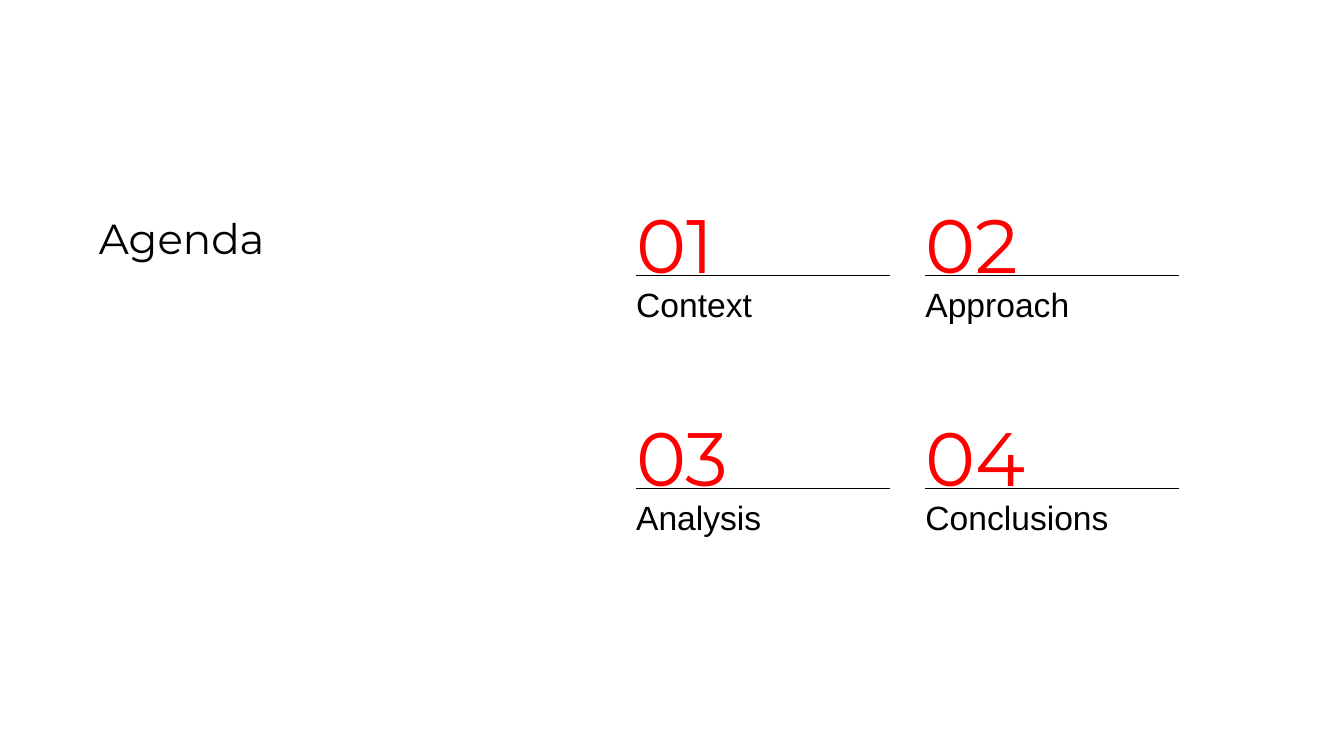
from lxml.etree import SubElement
from pptx import Presentation
from pptx.dml.color import RGBColor
from pptx.enum.shapes import MSO_CONNECTOR
from pptx.enum.text import MSO_ANCHOR, PP_ALIGN
from pptx.oxml.ns import qn
from pptx.util import Pt

COLORS = {"background": "FFFFFF", "text": "000000", "number": "FF0000"}
TOPICS = ["Context", "Approach", "Analysis", "Conclusions"]
COLUMNS = 2
COLUMN_PITCH, ROW_PITCH = 206.6, 152
ITEM_WIDTH = 181.4


def color(name):
    return RGBColor.from_string(COLORS[name])


def format_text(shape, text, font_name, size, color_name, line_spacing):
    frame = shape.text_frame
    frame.word_wrap = True
    frame.text = text
    paragraph = frame.paragraphs[0]
    paragraph.alignment = PP_ALIGN.LEFT
    paragraph.line_spacing = line_spacing
    paragraph.font.name = font_name
    paragraph.font.size = Pt(size)
    paragraph.font.color.rgb = color(color_name)


def add_text(slide, left, top, width, height, *text_format):
    shape = slide.shapes.add_textbox(Pt(left), Pt(top), Pt(width), Pt(height))
    frame = shape.text_frame
    frame.margin_left = frame.margin_right = 0
    frame.margin_top = frame.margin_bottom = 0
    frame.vertical_anchor = MSO_ANCHOR.TOP
    format_text(shape, *text_format)


def add_rule(slide, left, top, width):
    rule = slide.shapes.add_connector(
        MSO_CONNECTOR.STRAIGHT, Pt(left), Pt(top), Pt(left + width), Pt(top))
    rule.line.color.rgb = color("text")
    rule.line.width = Pt(0.75)
    SubElement(rule._element.spPr, qn("a:effectLst"))


def add_title(slide, left, top, width, height):
    title = slide.shapes.title
    title.left, title.top = Pt(left), Pt(top)
    title.width, title.height = Pt(width), Pt(height)
    title.text_frame.vertical_anchor = MSO_ANCHOR.MIDDLE
    format_text(title, "Agenda", "Montserrat", 30, "text", 0.9)


def add_agenda_item(slide, left, top, width, number, topic):
    add_text(slide, left, top, 104.4, 66.2,
             f"{number:02}", "Montserrat", 54, "number", 1.1)
    add_rule(slide, left, top + 62, width)
    add_text(slide, left, top + 71.5, width, 47.5,
             topic, "Arial", 24, "text", 0.9)


def add_agenda(slide, left, top):
    for index, topic in enumerate(TOPICS):
        row, column = divmod(index, COLUMNS)
        add_agenda_item(slide, left + column * COLUMN_PITCH,
                        top + row * ROW_PITCH, ITEM_WIDTH, index + 1, topic)


def main():
    presentation = Presentation()
    presentation.slide_width, presentation.slide_height = Pt(960), Pt(540)
    slide = presentation.slides.add_slide(presentation.slide_layouts[5])
    slide.background.fill.solid()
    slide.background.fill.fore_color.rgb = color("background")
    add_title(slide, 63.4, 134.6, 298, 75)
    add_agenda(slide, 454.4, 134.8)
    presentation.save("out.pptx")


if __name__ == "__main__":
    main()
